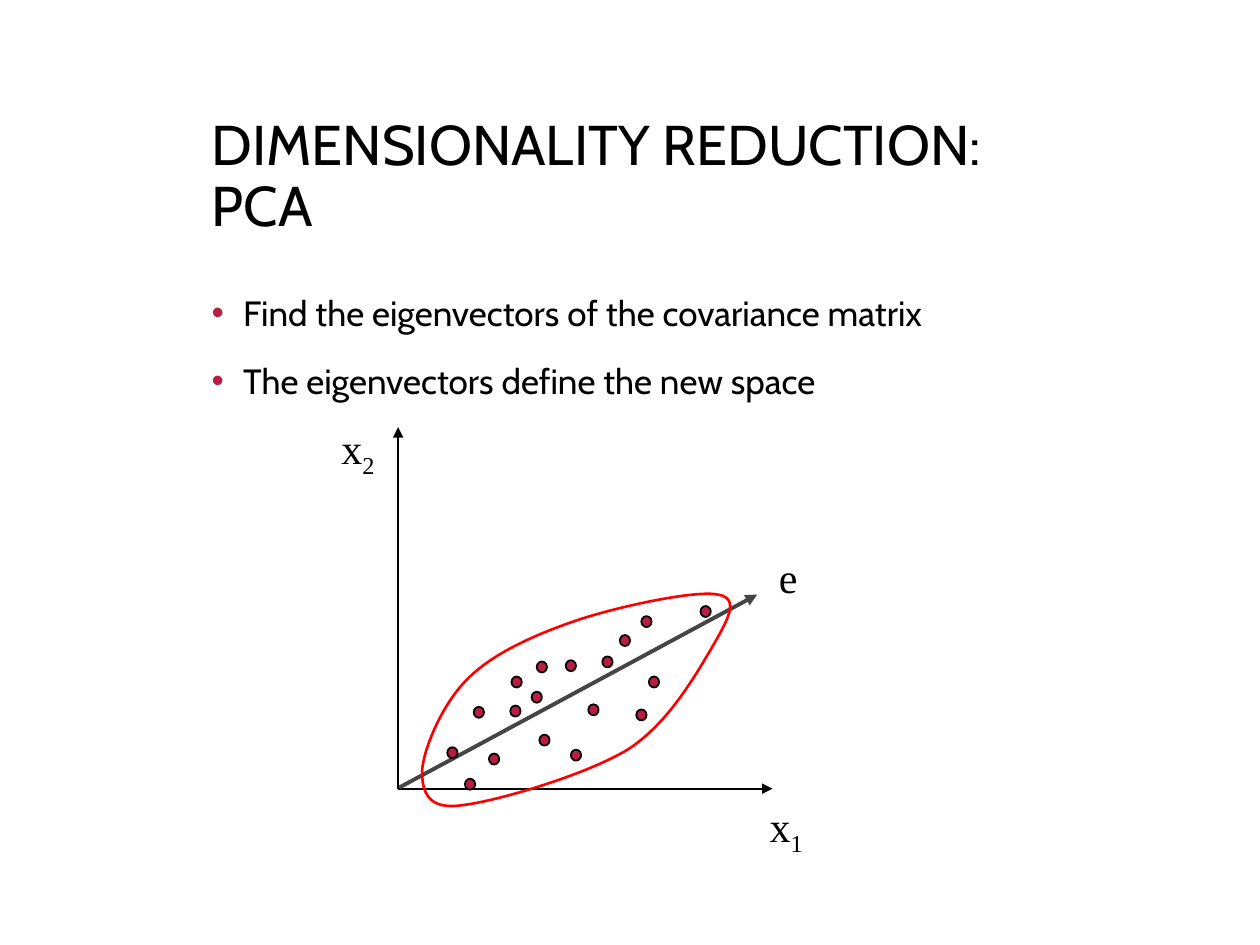
import dataclasses
import typing

import lxml.etree
import pptx
import pptx.dml.color
import pptx.enum.shapes
import pptx.enum.text
import pptx.oxml.ns
import pptx.util

Pt = pptx.util.Pt
Align = pptx.enum.text.PP_ALIGN
Anchor = pptx.enum.text.MSO_ANCHOR
qn = pptx.oxml.ns.qn


@dataclasses.dataclass(frozen=True)
class Theme:
    ink: str = "000000"
    red: str = "B71E42"
    gray: str = "454545"
    loop: str = "FF0000"
    sans: str = "Cabin"
    serif: str = "Times New Roman"
    head: float = 32
    body: float = 20
    label: float = 24
    thin: float = 1
    mid: float = 1.5
    thick: float = 2.25


class Box(typing.NamedTuple):
    left: float
    top: float
    width: float
    height: float


class Arrow(typing.NamedTuple):
    start: tuple[float, float]
    end: tuple[float, float]
    color: str
    width: float


class Label(typing.NamedTuple):
    box: Box
    base: str
    sub: str


THEME = Theme()
TITLE = Box(113.8, 63.4, 517.7, 82.8)
BODY = Box(113.8, 158.4, 517.7, 271.4)
POINTS = (
    "Find the eigenvectors of the covariance matrix",
    "The eigenvectors define the new space",
)
ZERO = (227.5, 450.7)
ARROWS = (
    Arrow(ZERO, (ZERO[0], 244.1), THEME.ink, THEME.thin),
    Arrow(ZERO, (441.4, ZERO[1]), THEME.ink, THEME.thin),
    Arrow((228.2, 450), (432.7, 339.8), THEME.gray, THEME.thick),
)
DOT = (5.9, 6.3)
DOTS = (
    (270.7, 403.9), (292.3, 386.6), (255.6, 427), (303.8, 395.3),
    (291.6, 403.2), (336.2, 402.5), (326.2, 428.4), (308.2, 419.8),
    (323.3, 377.3), (370.8, 386.6), (400.3, 346.3), (279.4, 430.6),
    (344.2, 375.1), (366.5, 352.1), (306.7, 378), (354.2, 362.9),
    (363.6, 405.4), (265.7, 445),
)
LOOP = (
    (241.2, 440.6),
    (241.9, 428.4), (252.7, 401.8), (267.8, 387.4),
    (282.2, 373), (306.7, 362.2), (330.5, 354.2),
    (354.2, 346.3), (398.2, 337), (410.4, 339.8),
    (423.4, 342), (415.4, 355), (406.8, 370.1),
    (398.2, 384.5), (382.3, 413.3), (358.6, 428.4),
    (334.8, 442.8), (283.7, 457.9), (264.2, 460.1),
    (244.8, 463), (241.2, 452.9), (241.2, 440.6),
)
LABELS = (
    Label(Box(187.2, 239.8, 34.6, 36), "x", "2"),
    Label(Box(432, 455.8, 34.6, 36), "x", "1"),
    Label(Box(437.8, 311.8, 25.2, 36), "e", ""),
)


def tint(code: str) -> pptx.dml.color.RGBColor:
    return pptx.dml.color.RGBColor.from_string(code)


def add_frame(slide, box: Box, wrap: bool = True):
    frame = slide.shapes.add_textbox(*map(Pt, box)).text_frame
    frame.word_wrap = wrap
    return frame


def add_run(para, text: str, face: str, size: float):
    run = para.add_run()
    run.text = text
    run.font.name = face
    run.font.size = Pt(size)
    run.font.color.rgb = tint(THEME.ink)
    return run


def add_title(slide) -> None:
    para = add_frame(slide, TITLE).paragraphs[0]
    para.line_spacing = 0.9
    add_run(para, "DIMENSIONALITY REDUCTION: PCA", THEME.sans, THEME.head)


def add_bullet(para) -> None:
    props = para._p.get_or_add_pPr()
    props.set("marL", str(Pt(18)))
    props.set("indent", str(Pt(-18)))
    color = lxml.etree.SubElement(props, qn("a:buClr"))
    lxml.etree.SubElement(color, qn("a:srgbClr"), val=THEME.red)
    lxml.etree.SubElement(props, qn("a:buFont"), typeface="Arial")
    lxml.etree.SubElement(props, qn("a:buChar"), char="•")


def add_body(slide) -> None:
    frame = add_frame(slide, BODY)
    for rank, text in enumerate(POINTS):
        para = frame.add_paragraph() if rank else frame.paragraphs[0]
        add_bullet(para)
        para.line_spacing = 1.2
        if rank:
            para.space_before = Pt(10)
        add_run(para, text, THEME.sans, THEME.body)


def add_arrow(slide, arrow: Arrow) -> None:
    line = slide.shapes.add_connector(
        pptx.enum.shapes.MSO_CONNECTOR.STRAIGHT,
        *map(Pt, arrow.start + arrow.end),
    )
    line.line.color.rgb = tint(arrow.color)
    line.line.width = Pt(arrow.width)
    lxml.etree.SubElement(line.line._get_or_add_ln(), qn("a:tailEnd"), type="triangle")
    lxml.etree.SubElement(line._element.spPr, qn("a:effectLst"))


def add_dot(slide, spot: tuple[float, float]) -> None:
    dot = slide.shapes.add_shape(
        pptx.enum.shapes.MSO_SHAPE.OVAL, *map(Pt, spot + DOT)
    )
    dot.shadow.inherit = False
    dot.fill.solid()
    dot.fill.fore_color.rgb = tint(THEME.red)
    dot.line.color.rgb = tint(THEME.ink)
    dot.line.width = Pt(THEME.thin)


def add_loop(slide) -> None:
    spots = [(Pt(x), Pt(y)) for x, y in LOOP]
    form = slide.shapes.build_freeform(*spots[0])
    form.add_line_segments(spots[1:], close=True)
    loop = form.convert_to_shape()
    lines = list(loop._element.iter(qn("a:lnTo")))
    for first in range(0, len(lines), 3):
        group = lines[first:first + 3]
        curve = lxml.etree.Element(qn("a:cubicBezTo"))
        group[0].addprevious(curve)
        for line in group:
            curve.append(line[0])
            line.getparent().remove(line)
    loop.shadow.inherit = False
    loop.fill.background()
    loop.line.color.rgb = tint(THEME.loop)
    loop.line.width = Pt(THEME.mid)


def add_label(slide, label: Label) -> None:
    frame = add_frame(slide, label.box, wrap=False)
    frame.auto_size = pptx.enum.text.MSO_AUTO_SIZE.SHAPE_TO_FIT_TEXT
    frame.vertical_anchor = Anchor.MIDDLE
    para = frame.paragraphs[0]
    para.alignment = Align.CENTER
    add_run(para, label.base, THEME.serif, THEME.label)
    if label.sub:
        run = add_run(para, label.sub, THEME.serif, THEME.label)
        run._r.get_or_add_rPr().set("baseline", "-25000")


def main() -> None:
    deck = pptx.Presentation()
    deck.slide_width, deck.slide_height = Pt(720), Pt(540)
    slide = deck.slides.add_slide(deck.slide_layouts[6])
    add_title(slide)
    add_body(slide)
    for arrow in ARROWS:
        add_arrow(slide, arrow)
    for spot in DOTS:
        add_dot(slide, spot)
    add_loop(slide)
    for label in LABELS:
        add_label(slide, label)
    deck.save("out.pptx")


if __name__ == "__main__":
    main()
